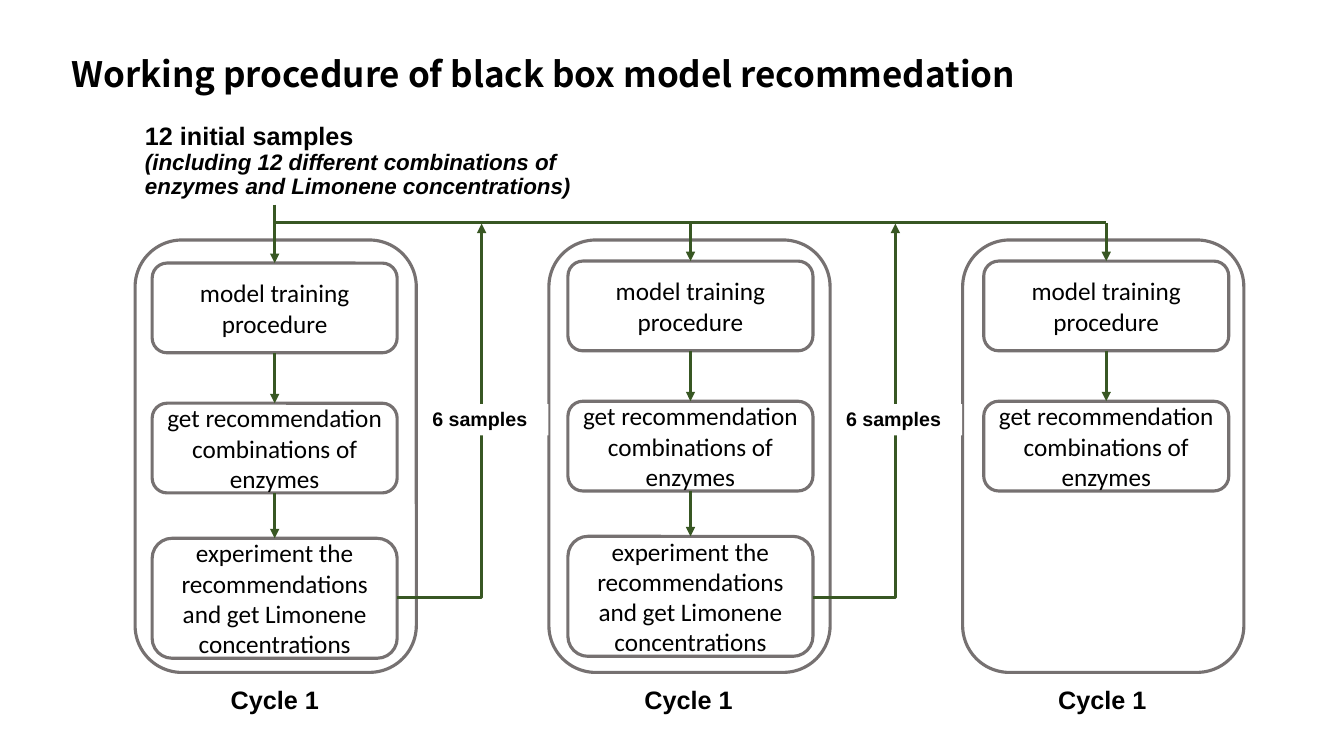
from dataclasses import dataclass

from lxml import etree
from pptx import Presentation
from pptx.dml.color import RGBColor
from pptx.enum.shapes import MSO_CONNECTOR, MSO_SHAPE
from pptx.enum.text import MSO_ANCHOR, PP_ALIGN
from pptx.oxml.ns import qn
from pptx.util import Pt

STRAIGHT, ELBOW = MSO_CONNECTOR.STRAIGHT, MSO_CONNECTOR.ELBOW
ROUNDED, RECT = MSO_SHAPE.ROUNDED_RECTANGLE, MSO_SHAPE.RECTANGLE
TOP, MIDDLE, BOTTOM = MSO_ANCHOR.TOP, MSO_ANCHOR.MIDDLE, MSO_ANCHOR.BOTTOM
LEFT, CENTER = PP_ALIGN.LEFT, PP_ALIGN.CENTER
TOP_SITE, BOTTOM_SITE = 0, 2


@dataclass(frozen=True)
class Theme:
    """Colours, fonts and type sizes in points."""
    ink: RGBColor = RGBColor(0, 0, 0)
    paper: RGBColor = RGBColor(255, 255, 255)
    frame: RGBColor = RGBColor(0x76, 0x71, 0x71)
    arrow: RGBColor = RGBColor(0x38, 0x57, 0x23)
    title_font: str = "Noto Sans CJK JP"
    label_font: str = "Arial"
    step_font: str = "Calibri"
    title: float = 25
    body: float = 18
    note: float = 16
    small: float = 14
    line: float = 2.25


T = Theme()
STEPS = (
    ("model training procedure", 0, 64.1),
    ("get recommendation combinations of enzymes", 100.1, 64.1),
    ("experiment the recommendations and get Limonene concentrations", 196.6, 85.7),
)
FRAME_X, FRAME_Y, FRAME_W, FRAME_H, FRAME_PITCH = 96.5, 171.4, 200.9, 308.9, 295.55
STEP_X, STEP_W, STEP_PITCH = 108.7, 175, 297
BUS_Y = 159.2


def write(tf, lines, font, align=LEFT, anchor=TOP, spacing=None):
    """Fill a text frame with (text, size, bold, italic) lines."""
    tf.word_wrap = True
    tf.vertical_anchor = anchor
    for i, (text, size, bold, italic) in enumerate(lines):
        p = tf.add_paragraph() if i else tf.paragraphs[0]
        p.alignment = align
        p.line_spacing = spacing
        r = p.add_run()
        r.text = text
        r.font.name, r.font.size = font, Pt(size)
        r.font.bold, r.font.italic = bold, italic
        r.font.color.rgb = T.ink


def add_text(s, x, y, w, h, lines, font=T.label_font, anchor=TOP):
    """Add a text box."""
    sp = s.shapes.add_textbox(Pt(x), Pt(y), Pt(w), Pt(h))
    write(sp.text_frame, lines, font, anchor=anchor, spacing=0.9)


def add_box(s, kind, x, y, w, h, outlined=True):
    """Add a white box, with a grey outline if asked."""
    sp = s.shapes.add_shape(kind, Pt(x), Pt(y), Pt(w), Pt(h))
    sp.shadow.inherit = False
    sp.fill.solid()
    sp.fill.fore_color.rgb = T.paper
    if outlined:
        sp.line.color.rgb = T.frame
        sp.line.width = Pt(T.line)
    else:
        sp.line.fill.background()
    return sp


def add_line(s, x1, y1, x2, y2, head=True, kind=STRAIGHT):
    """Add a green line or arrow; an elbow turns once."""
    c = s.shapes.add_connector(kind, Pt(x1), Pt(y1), Pt(x2), Pt(y2))
    c.line.color.rgb = T.arrow
    c.line.width = Pt(T.line)
    props = c._element.spPr
    if kind == ELBOW:
        props.find(qn("a:prstGeom")).set("prst", "bentConnector2")
    if head:
        etree.SubElement(props.find(qn("a:ln")), qn("a:tailEnd"), type="triangle")
    etree.SubElement(props, qn("a:effectLst"))
    return c


def add_cycle(s, x, step_x, step_y, entry_y, steps):
    """Add a framed chain of steps with its entry arrow and caption."""
    add_box(s, ROUNDED, x, FRAME_Y, FRAME_W, FRAME_H)
    add_text(s, x + 61.2, FRAME_Y + 316, 78.5, 26.6,
             [("Cycle 1", T.body, True, False)])
    mid = step_x + STEP_W / 2
    above, from_y = None, entry_y
    for text, dy, h in steps:
        y = step_y + dy
        sp = add_box(s, ROUNDED, step_x, y, STEP_W, h)
        write(sp.text_frame, [(text, T.body, False, False)], T.step_font,
              CENTER, MIDDLE)
        c = add_line(s, mid, from_y, mid, y)
        if above is not None:
            c.begin_connect(above, BOTTOM_SITE)
        c.end_connect(sp, TOP_SITE)
        above, from_y = sp, y + h


def add_feedback(s, x, step_right):
    """Add the arrow that returns samples to the bus, with its label."""
    add_line(s, step_right, 427, x + 247.5, BUS_Y + 0.6, kind=ELBOW)
    sp = add_box(s, RECT, x + 205.2, 288.7, 90, 22.3, outlined=False)
    write(sp.text_frame, [("6 samples", T.small, True, False)], T.label_font,
          spacing=0.9)


def add_header(s, x, y):
    """Add the title and the note on the initial samples."""
    add_text(s, x, y, 872.6, 57.6,
             [("Working procedure of black box model recommedation",
               T.title, True, False)], T.title_font, BOTTOM)
    add_text(s, x + 52.6, y + 71.3, 748, 62,
             [("12 initial samples", T.body, True, False),
              ("(including 12 different combinations of", T.note, True, True),
              ("enzymes and Limonene concentrations)", T.note, True, True)])


def main():
    """Build and save the slide."""
    prs = Presentation()
    prs.slide_width, prs.slide_height = Pt(960), Pt(540)
    s = prs.slides.add_slide(prs.slide_layouts[6])
    add_header(s, 43.9, 13.7)
    columns = [(FRAME_X + i * FRAME_PITCH, STEP_X + i * STEP_PITCH)
               for i in range(3)]
    starts = ((187.9, 146.2), (186.5, BUS_Y), (186.5, BUS_Y))
    for (x, step_x), (step_y, entry_y), count in zip(columns, starts, (3, 3, 2)):
        add_cycle(s, x, step_x, step_y, entry_y, STEPS[:count])
    mid = STEP_X + STEP_W / 2
    add_line(s, mid, BUS_Y, mid + 2 * STEP_PITCH, BUS_Y, head=False)
    for x, step_x in columns[:2]:
        add_feedback(s, x, step_x + STEP_W)
    prs.save("out.pptx")


if __name__ == "__main__":
    main()
